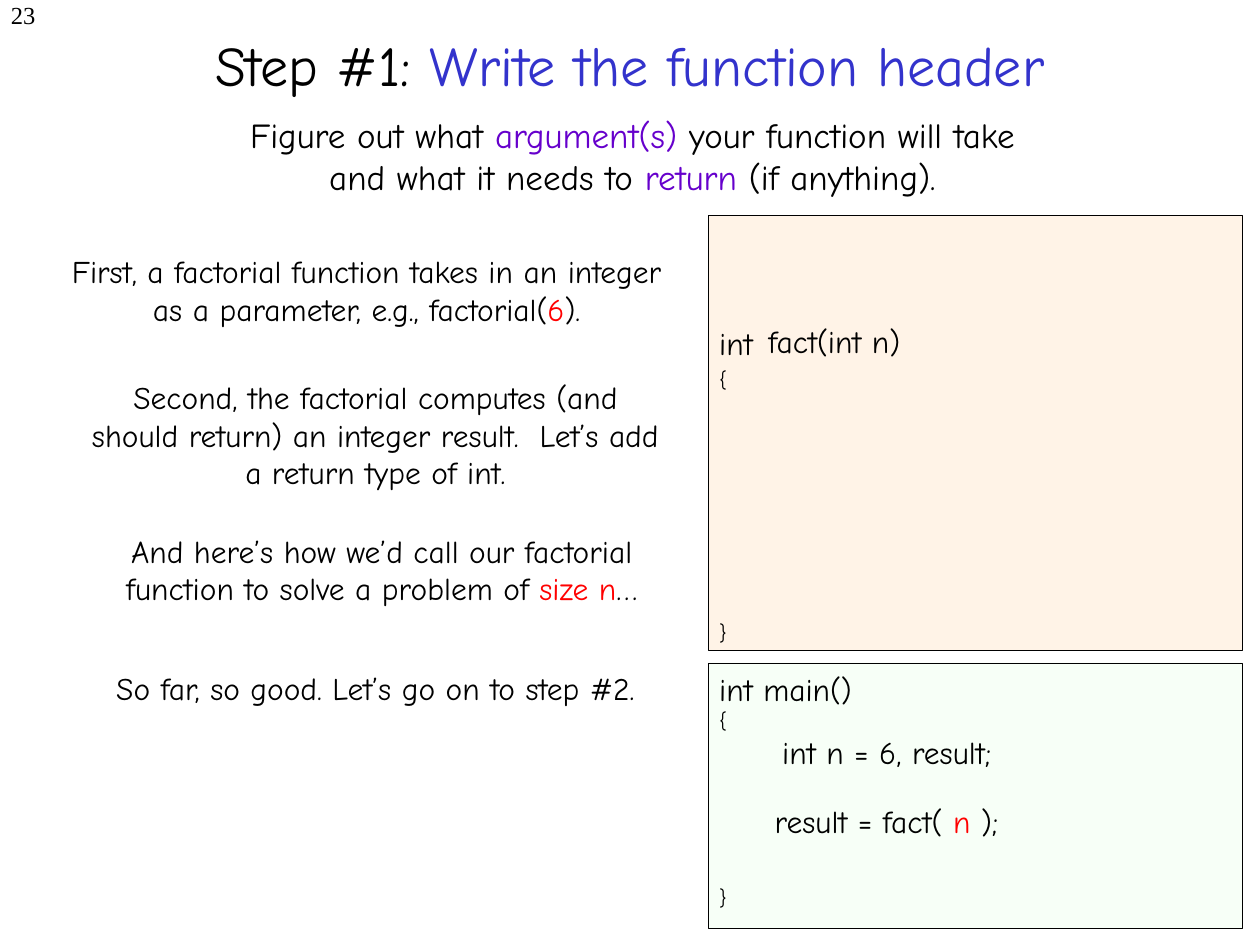
from pptx import Presentation
from pptx.dml.color import RGBColor
from pptx.enum.shapes import MSO_SHAPE
from pptx.enum.text import MSO_ANCHOR, MSO_AUTO_SIZE, PP_ALIGN
from pptx.util import Inches, Pt

COLORS = {"black": "000000", "blue": "3333CC", "purple": "6600CC",
          "red": "FF0000", "peach": "FFF3E7", "mint": "F7FFF7"}
FONT = "Comic Neue"
LINE_HEIGHT = 1.206  # line pitch of the font, as a share of its size

# Content: a run is (text, color), plain text is black
TITLE = ["Step #1: ", ("Write the function header", "blue")]
TITLE_BOX = (0.75, -0.12, 8.5, 1.25)
SLIDE_NUMBER = "23"

# Panels: box, fill
PANELS = [
    ((5.62, 5.26, 4.24, 2.11), "mint"),
    ((5.62, 1.71, 4.24, 3.45), "peach"),
]

# Centred explanations: box, size, runs
EXPLANATIONS = [
    ((1.81, 0.85, 6.42, 0.77), 20,
     ["Figure out what ", ("argument(s)", "purple"),
      " your function will take and what it needs to ",
      ("return ", "purple"), "(if anything)."]),
    ((0.41, 1.95, 5, 0.7), 18,
     ["First, a factorial function takes in an integer as a parameter, "
      "e.g., factorial(", ("6", "red"), ")."]),
    ((0.6, 2.95, 4.76, 1), 18,
     ["Second, the factorial computes (and should return) an integer "
      "result.  Let’s add a return type of int."]),
    ((0.65, 4.17, 4.76, 0.71), 18,
     ["And here’s how we’d call our factorial function to solve a "
      "problem of ", ("size n", "red"), "…"]),
    ((0.6, 5.26, 4.76, 0.4), 18,
     ["So far, so good. Let’s go on to step #2."]),
]

# Code: box, lines of (runs, size, indent in inches, gap before in points)
CODE = [
    ((6, 2.51, 2.49, 0.4), [(["fact(int n)"], 18, 0, 0)]),
    ((5.61, 2.52, 2.49, 0.4), [(["int"], 18, 0, 0)]),
    ((5.61, 2.86, 2.49, 2.3), [
        (["{"], 12, 0, 0),
        (["}"], 12, 0, 9 * 12 * LINE_HEIGHT),
    ]),
    ((5.61, 5.27, 4.23, 2), [
        (["int main()"], 18, 0, 0),
        (["{"], 12, 0, 0),
        (["int n = 6, result;"], 18, 0.5, 0),
        (["}"], 12, 0, 3 * 18 * LINE_HEIGHT),
    ]),
    ((6.05, 6.32, 3.8, 0.4),
     [(["result = fact( ", ("n ", "red"), ");"], 18, 0, 0)]),
]


def rgb(name):
    return RGBColor.from_string(COLORS[name])


def inches(box):
    return [Inches(length) for length in box]


def add_runs(paragraph, runs, size, font=FONT):
    for item in runs:
        text, color = (item, "black") if isinstance(item, str) else item
        run = paragraph.add_run()
        run.text = text
        run.font.name = font
        run.font.size = Pt(size)
        run.font.color.rgb = rgb(color)


def add_text_frame(slide, box):
    frame = slide.shapes.add_textbox(*inches(box)).text_frame
    frame.word_wrap = True
    return frame


def main():
    prs = Presentation()
    prs.slide_width, prs.slide_height = Inches(10), Inches(7.5)
    slide = prs.slides.add_slide(prs.slide_layouts[5])

    # Title
    title = slide.shapes.title
    title.left, title.top, title.width, title.height = inches(TITLE_BOX)
    title.text_frame.auto_size = MSO_AUTO_SIZE.NONE
    title.text_frame.vertical_anchor = MSO_ANCHOR.MIDDLE
    heading = title.text_frame.paragraphs[0]
    heading.alignment = PP_ALIGN.CENTER
    add_runs(heading, TITLE, 32)

    # Slide number
    number = add_text_frame(slide, (0, 0, 0.38, 0.3))
    number.margin_left = number.margin_top = 0
    number.paragraphs[0].alignment = PP_ALIGN.RIGHT
    add_runs(number.paragraphs[0], [SLIDE_NUMBER], 14, "Times New Roman")

    # Code panels
    for box, fill in PANELS:
        panel = slide.shapes.add_shape(MSO_SHAPE.RECTANGLE, *inches(box))
        panel.shadow.inherit = False
        panel.fill.solid()
        panel.fill.fore_color.rgb = rgb(fill)
        panel.line.color.rgb = rgb("black")
        panel.line.width = Pt(0.25)

    # Explanations
    for box, size, runs in EXPLANATIONS:
        paragraph = add_text_frame(slide, box).paragraphs[0]
        paragraph.alignment = PP_ALIGN.CENTER
        add_runs(paragraph, runs, size)

    # Code
    for box, lines in CODE:
        frame = add_text_frame(slide, box)
        for i, (runs, size, indent, gap) in enumerate(lines):
            paragraph = frame.add_paragraph() if i else frame.paragraphs[0]
            if indent:
                paragraph._p.get_or_add_pPr().set("marL", str(Inches(indent)))
            if gap:
                paragraph.space_before = Pt(round(gap))
            add_runs(paragraph, runs, size)

    prs.save("out.pptx")


if __name__ == "__main__":
    main()
